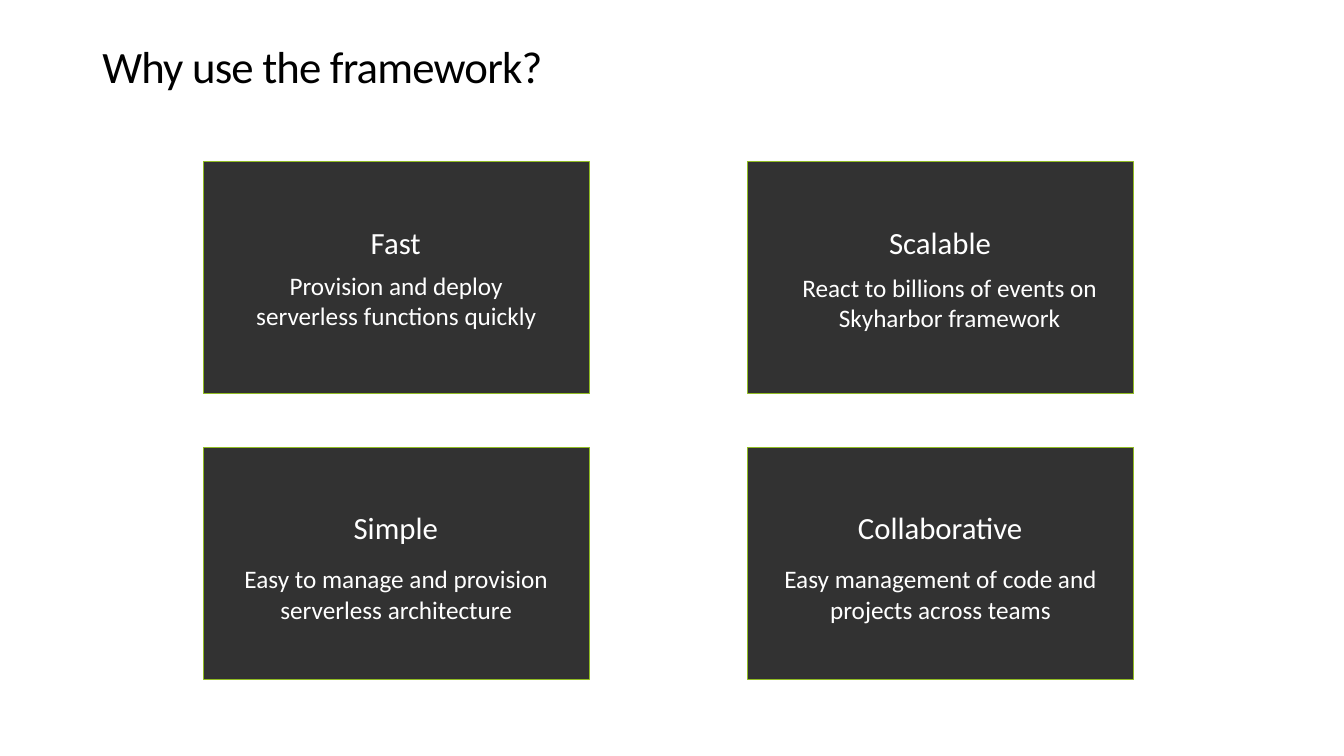
import dataclasses

import pptx
import pptx.dml.color
import pptx.enum.shapes
import pptx.enum.text
import pptx.util

Pt = pptx.util.Pt
ALIGN = pptx.enum.text.PP_ALIGN


@dataclasses.dataclass(frozen=True)
class Theme:
    font: str = "Calibri"
    ink: str = "000000"
    panel: str = "323232"
    edge: str = "90BB23"
    light: str = "FFFFFF"
    title: int = 32
    head: int = 22
    body: int = 18


@dataclasses.dataclass(frozen=True)
class Card:
    col: int
    row: int
    head: str
    width: float  # heading box
    body: str
    inset: float  # body offset from the card's left
    drop: float  # body offset from the card's top


THEME = Theme()

# Card grid
LEFT, TOP = 145.2, 115.6
WIDE, HIGH = 276, 165.6
STEP_X, STEP_Y = 388.8, 204

CARDS = [
    Card(0, 0, "Fast", 50.4,
         "Provision and deploy serverless functions quickly", 16.8, 73.8),
    Card(1, 0, "Scalable", 87.8,
         "React to billions of events on Skyharbor framework", 23.3, 75.2),
    Card(0, 1, "Simple", 75.6,
         "Easy to manage and provision serverless architecture", 16.8, 79.4),
    Card(1, 1, "Collaborative", 133.2,
         "Easy management of code and projects across teams", 16.8, 79.4),
]


def tint(code: str) -> pptx.dml.color.RGBColor:
    return pptx.dml.color.RGBColor.from_string(code)


def write(slide, text: str, x: float, y: float, w: float, h: float, *,
          size: int, color: str = THEME.light, align=ALIGN.CENTER,
          wrap: bool = True, lead: float | None = None,
          track: int = 0) -> None:
    box = slide.shapes.add_textbox(Pt(x), Pt(y), Pt(w), Pt(h))
    frame = box.text_frame
    frame.word_wrap = wrap
    para = frame.paragraphs[0]
    para.alignment = align
    if lead:
        para.line_spacing = lead
    run = para.add_run()
    run.text = text
    run.font.name = THEME.font
    run.font.size = Pt(size)
    run.font.color.rgb = tint(color)
    if track:  # letter spacing, in hundredths of a point
        run._r.get_or_add_rPr().set("spc", str(track))


def draw(slide, card: Card) -> None:
    x = LEFT + card.col * STEP_X
    y = TOP + card.row * STEP_Y

    # Panel
    panel = slide.shapes.add_shape(
        pptx.enum.shapes.MSO_SHAPE.RECTANGLE, Pt(x), Pt(y), Pt(WIDE), Pt(HIGH))
    panel.shadow.inherit = False
    panel.fill.solid()
    panel.fill.fore_color.rgb = tint(THEME.panel)
    panel.line.color.rgb = tint(THEME.edge)
    panel.line.width = Pt(0.75)

    # Heading and body
    write(slide, card.head, x + (WIDE - card.width) / 2 - 0.5, y + 40.5,
          card.width, 33.8, size=THEME.head, wrap=False)
    write(slide, card.body, x + card.inset, y + card.drop, 242, 51,
          size=THEME.body)


def main() -> None:
    deck = pptx.Presentation()
    deck.slide_width, deck.slide_height = Pt(960), Pt(540)
    slide = deck.slides.add_slide(deck.slide_layouts[6])

    # Title
    write(slide, "Why use the framework?", 66, 28.8, 828, 48.2,
          size=THEME.title, color=THEME.ink, align=ALIGN.LEFT,
          lead=0.9, track=-60)

    # Cards
    for card in CARDS:
        draw(slide, card)

    deck.save("out.pptx")


if __name__ == "__main__":
    main()
